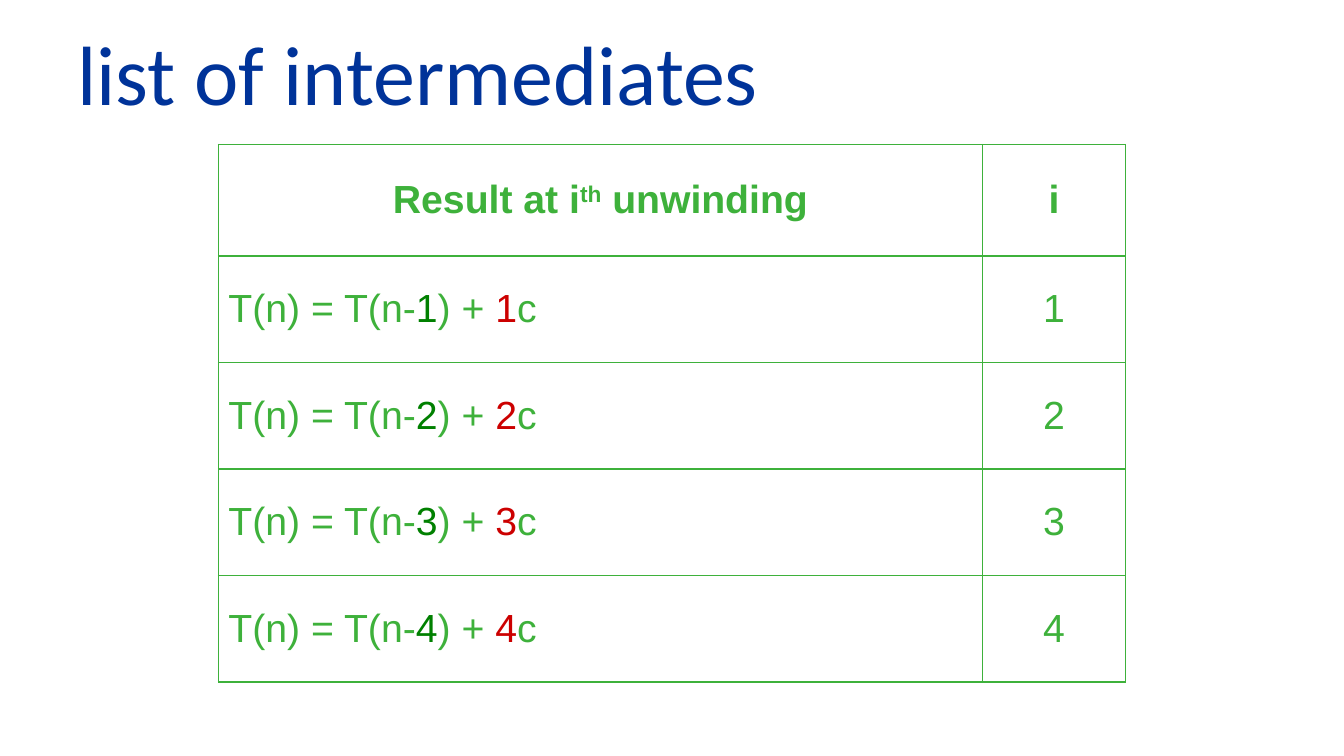
from lxml import etree
from pptx import Presentation
from pptx.dml.color import RGBColor
from pptx.enum.text import MSO_ANCHOR, MSO_AUTO_SIZE, PP_ALIGN
from pptx.oxml.ns import qn
from pptx.util import Pt

LEFT, CENTER = PP_ALIGN.LEFT, PP_ALIGN.CENTER
MIDDLE = MSO_ANCHOR.MIDDLE
NO_FIT = MSO_AUTO_SIZE.NONE
BLUE, GREEN, DARK_GREEN, RED = "003399", "3EB13B", "008000", "CC0000"


def color(hex_string):
    return RGBColor.from_string(hex_string)


def fill_cell(cell, runs, alignment, bold):
    """Write (text, colour) runs into a cell with thin green borders."""
    cell.fill.background()
    cell.vertical_anchor = MIDDLE
    paragraph = cell.text_frame.paragraphs[0]
    paragraph.alignment = alignment
    paragraph.font.name = "Arial"
    paragraph.font.size = Pt(28)
    paragraph.font.bold = bold
    for text, hex_string in runs:
        run = paragraph.add_run()
        run.text = text
        run.font.name = "Arial"
        run.font.size = Pt(28)
        run.font.bold = bold
        run.font.color.rgb = color(hex_string)
    properties = cell._tc.get_or_add_tcPr()
    for position, side in enumerate(("a:lnL", "a:lnR", "a:lnT", "a:lnB")):
        line = etree.Element(qn(side), w=str(Pt(1)))
        solid = etree.SubElement(line, qn("a:solidFill"))
        etree.SubElement(solid, qn("a:srgbClr"), val=GREEN)
        properties.insert(position, line)


presentation = Presentation()
presentation.slide_width, presentation.slide_height = Pt(960), Pt(540)
slide = presentation.slides.add_slide(presentation.slide_layouts[5])

# Title
title = slide.shapes.title
title.left, title.top, title.width, title.height = Pt(48), Pt(21.6), Pt(864), Pt(68.4)
title.text_frame.text = "list of intermediates"
title.text_frame.auto_size = NO_FIT
title.text_frame.vertical_anchor = MIDDLE
paragraph = title.text_frame.paragraphs[0]
paragraph.alignment = LEFT
paragraph.line_spacing = 0.9
paragraph.font.name = "Calibri"
paragraph.font.size = Pt(60)
paragraph.font.color.rgb = color(BLUE)

# Table frame
table = slide.shapes.add_table(5, 2, Pt(156), Pt(103.2), Pt(648), Pt(384)).table
table.horz_banding = False
table.columns[0].width, table.columns[1].width = Pt(545.8), Pt(102.2)
for row_number, row in enumerate(table.rows):
    row.height = Pt(76.1 if row_number else 79.6)

# Header row
heading = [("Result at i", GREEN), ("th", GREEN), (" unwinding", GREEN)]
fill_cell(table.cell(0, 0), heading, CENTER, True)
superscript = table.cell(0, 0).text_frame.paragraphs[0].runs[1]
superscript._r.get_or_add_rPr().set("baseline", "30000")
fill_cell(table.cell(0, 1), [("i", GREEN)], CENTER, True)

# One row for each unwinding
for step in range(1, 5):
    number = str(step)
    result = [("T(n) = T(n-", GREEN), (number, DARK_GREEN), (") + ", GREEN),
              (number, RED), ("c", GREEN)]
    fill_cell(table.cell(step, 0), result, LEFT, False)
    fill_cell(table.cell(step, 1), [(number, GREEN)], CENTER, False)

presentation.save("out.pptx")
